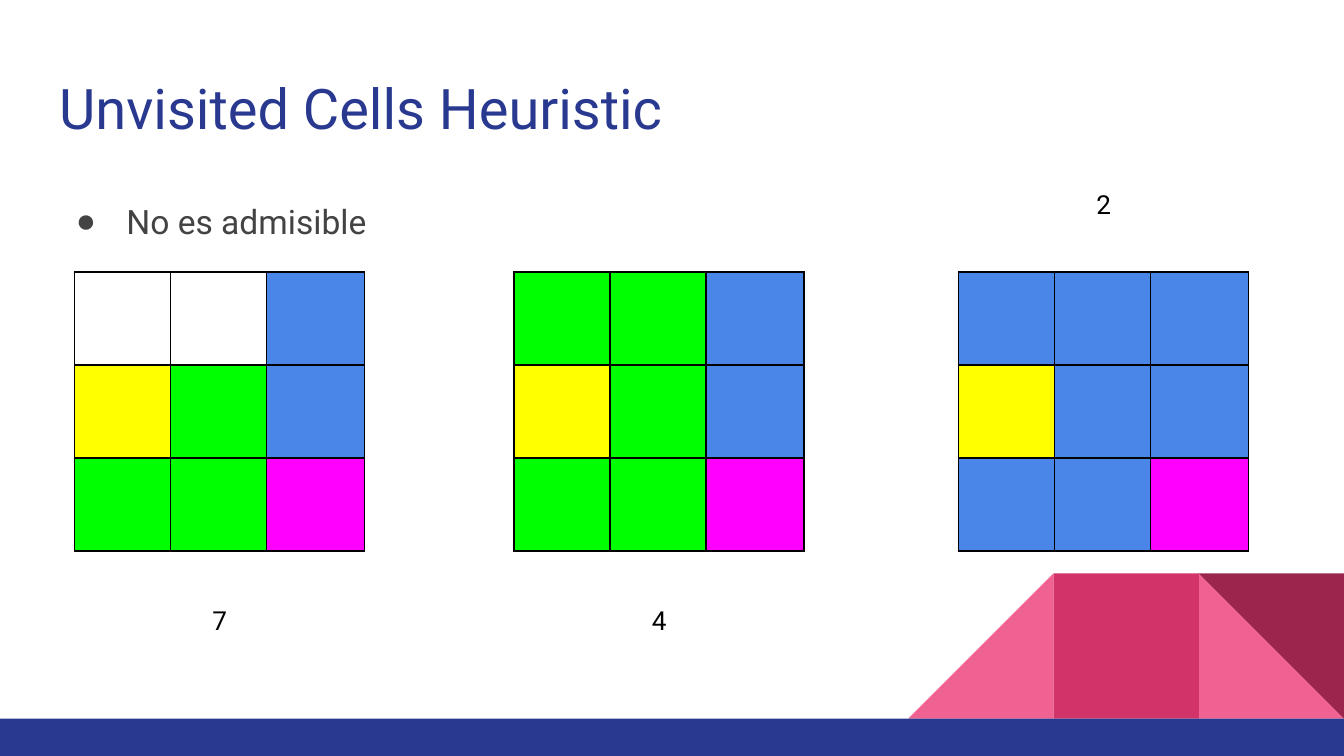
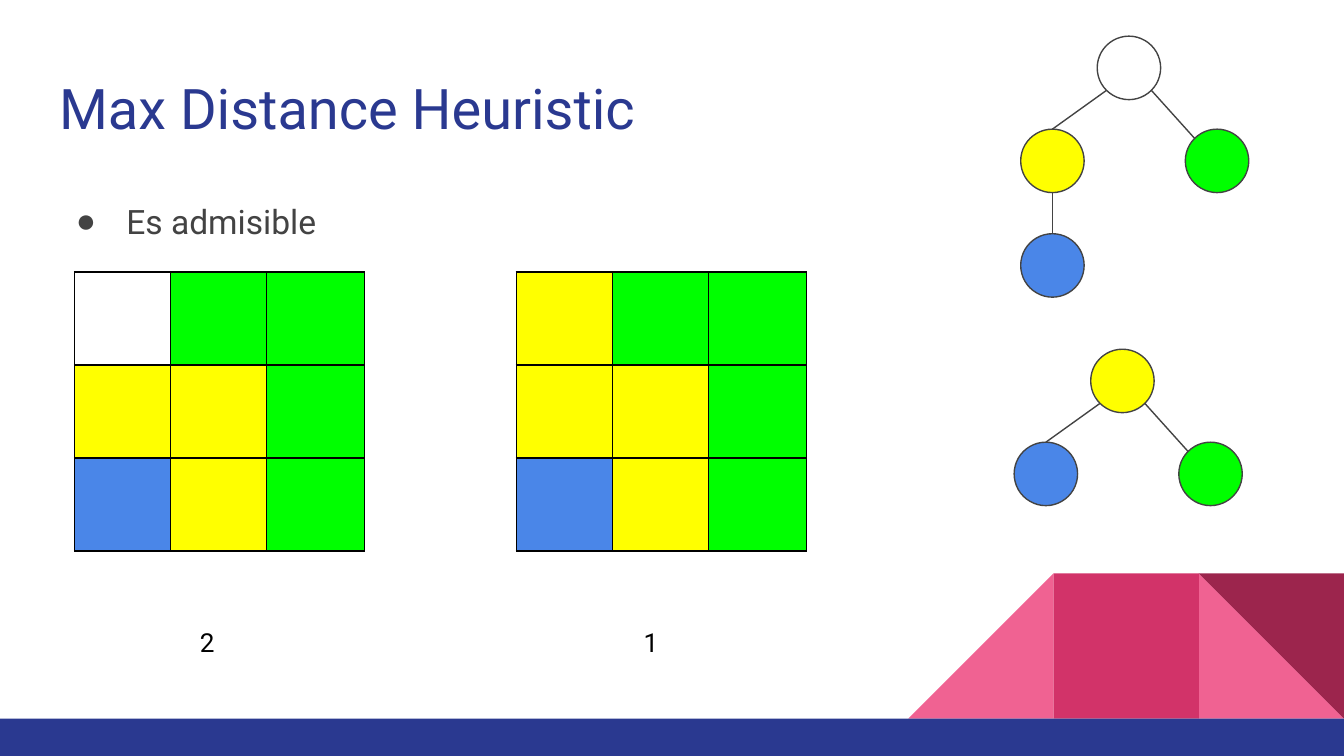
from math import sqrt

from lxml import etree
from pptx import Presentation
from pptx.dml.color import RGBColor
from pptx.enum.shapes import MSO_CONNECTOR, MSO_SHAPE
from pptx.enum.text import MSO_ANCHOR, MSO_AUTO_SIZE, PP_ALIGN
from pptx.oxml.ns import qn
from pptx.util import Pt

LEFT, CENTER = PP_ALIGN.LEFT, PP_ALIGN.CENTER
TOP = MSO_ANCHOR.TOP
STRAIGHT = MSO_CONNECTOR.STRAIGHT
CIRCLE, SQUARE, WEDGE = MSO_SHAPE.OVAL, MSO_SHAPE.RECTANGLE, MSO_SHAPE.RIGHT_TRIANGLE

FONT = "Roboto"
COLORS = {
    "navy": "2A3990", "gray": "434343", "black": "000000",
    "pink": "F06292", "rose": "D23369", "wine": "9C254D",
    "W": "FFFFFF", "B": "4A86E8", "Y": "FFFF00", "G": "00FF00", "M": "FF00FF",
}

# Boards: left edge and rows of colour letters.
# Labels: text, box (left, top, width, height), alignment.
# Trees: root centre, then colours by node position.
PAGES = [
    {
        "title": "Unvisited Cells Heuristic",
        "bullet": "No es admisible",
        "bullet_width": 671,
        "boards": [(40, "WWB YGB GGM"), (275.5, "GGB YGB GGM"), (513.5, "BBB YBB BBM")],
        "labels": [
            ("7", (95, 316.8, 45.4, 38.9), CENTER),
            ("4", (330.5, 316.8, 45.4, 38.9), CENTER),
            ("2", (568.6, 93.6, 45.4, 38.9), CENTER),
        ],
        "trees": [],
    },
    {
        "title": "Max Distance Heuristic",
        "bullet": "Es admisible",
        "bullet_width": 317,
        "boards": [(40, "WGG YYG BYG"), (276.7, "YGG YYG BYG")],
        "labels": [
            ("2", (100, 328.3, 33, 29.5), LEFT),
            ("1", (337.7, 328.3, 33, 29.5), LEFT),
        ],
        "trees": [
            ((604.8, 36.4), {"root": "W", "left": "Y", "right": "G", "leaf": "B"}),
            ((601.3, 204.1), {"root": "Y", "left": "B", "right": "G"}),
        ],
    },
]

WIDTH, HEIGHT = 720, 405
BAND_TOP, WEDGE_SIZE = 385, 77.8
MARGIN = 24.5
BOARD_TOP, ROW_HEIGHT, COLUMN_WIDTHS = 145.8, 49.8, (51.4, 51.4, 52.6)
NODE_SIZE = 34
NODE_OFFSETS = {"root": (0, 0), "left": (-41, 49.8), "right": (47.2, 49.8), "leaf": (-41, 105.8)}
# Child: parent, direction from the parent's centre, direction from the child's centre.
DIAGONAL = 1 / sqrt(2)
BRANCHES = {
    "left": ("root", (-DIAGONAL, DIAGONAL), (0, -1)),
    "right": ("root", (DIAGONAL, DIAGONAL), (-DIAGONAL, -DIAGONAL)),
    "leaf": ("left", (0, 1), (0, -1)),
}


def color(name):
    return RGBColor.from_string(COLORS[name])


def place(shape, left, top, width, height):
    shape.left, shape.top, shape.width, shape.height = map(Pt, (left, top, width, height))


def write(shape, text, size, ink="black", align=LEFT, line_spacing=1.0):
    frame = shape.text_frame
    frame.word_wrap = True
    frame.auto_size = MSO_AUTO_SIZE.NONE
    frame.vertical_anchor = TOP
    frame.margin_left = frame.margin_right = frame.margin_top = frame.margin_bottom = Pt(7.2)
    para = frame.paragraphs[0]
    para.alignment, para.line_spacing = align, line_spacing
    para.space_before = para.space_after = Pt(0)
    span = para.add_run()
    span.text = text
    span.font.name, span.font.size = FONT, Pt(size)
    span.font.color.rgb = color(ink)
    return para


def add_bullet(para, ink):
    properties = para._p.get_or_add_pPr()
    properties.set("marL", str(Pt(36)))
    properties.set("indent", str(Pt(-27)))
    tint = etree.SubElement(properties, qn("a:buClr"))
    etree.SubElement(tint, qn("a:srgbClr"), val=COLORS[ink])
    etree.SubElement(properties, qn("a:buChar"), char="●")


def add_filled(page, kind, box, fill, outline=None):
    shape = page.shapes.add_shape(kind, *map(Pt, box))
    shape.shadow.inherit = False
    shape.fill.solid()
    shape.fill.fore_color.rgb = color(fill)
    if outline:
        shape.line.color.rgb = color(outline)
        shape.line.width = Pt(0.75)
    else:
        shape.line.fill.background()
    return shape


def decorate_layout(layout, page):
    """Draw the band and wedges on a page, then move them behind the layout's placeholders."""
    wedge_top = BAND_TOP - WEDGE_SIZE
    parts = [
        (WEDGE, 1, "pink", 0),
        (WEDGE, 3, "pink", 270),
        (SQUARE, 2, "rose", 0),
        (WEDGE, 1, "wine", 180),
    ]
    shapes = []
    for kind, steps, fill, rotation in parts:
        box = (WIDTH - steps * WEDGE_SIZE, wedge_top, WEDGE_SIZE, WEDGE_SIZE)
        shape = add_filled(page, kind, box, fill)
        shape.rotation = rotation
        shapes.append(shape)
    shapes.append(add_filled(page, SQUARE, (0, BAND_TOP, WIDTH, HEIGHT - BAND_TOP), "navy"))
    for index, shape in enumerate(shapes):
        shape.element.nvSpPr.cNvPr.set("id", str(100 + index))
        layout.shapes.element.insert(2 + index, shape.element)


def fill_cell(cell, fill):
    cell.fill.solid()
    cell.fill.fore_color.rgb = color(fill)
    properties = cell._tc.get_or_add_tcPr()
    for index, side in enumerate(("lnL", "lnR", "lnT", "lnB")):
        border = etree.Element(qn("a:" + side), w=str(Pt(1)))
        paint = etree.SubElement(border, qn("a:solidFill"))
        etree.SubElement(paint, qn("a:srgbClr"), val=COLORS["black"])
        properties.insert(index, border)


def add_board(page, left, pattern):
    rows = pattern.split()
    box = (left, BOARD_TOP, sum(COLUMN_WIDTHS), ROW_HEIGHT * len(rows))
    table = page.shapes.add_table(len(rows), len(COLUMN_WIDTHS), *map(Pt, box)).table
    table.first_row = table.horz_banding = False
    for column, width in zip(table.columns, COLUMN_WIDTHS):
        column.width = Pt(width)
    for r, letters in enumerate(rows):
        table.rows[r].height = Pt(ROW_HEIGHT)
        for c, letter in enumerate(letters):
            fill_cell(table.cell(r, c), letter)


def add_tree(page, root, nodes):
    radius = NODE_SIZE / 2
    centers = {name: (root[0] + NODE_OFFSETS[name][0], root[1] + NODE_OFFSETS[name][1])
               for name in nodes}

    def rim(name, direction):
        return [Pt(middle + radius * part) for middle, part in zip(centers[name], direction)]

    for name, fill in nodes.items():
        x, y = centers[name]
        add_filled(page, CIRCLE, (x - radius, y - radius, NODE_SIZE, NODE_SIZE), fill, "gray")
    for child, (parent, leaving, arriving) in BRANCHES.items():
        if child in nodes:
            branch = page.shapes.add_connector(STRAIGHT, *rim(parent, leaving), *rim(child, arriving))
            branch.line.color.rgb = color("gray")
            branch.line.width = Pt(0.75)
            etree.SubElement(branch.element.spPr, qn("a:effectLst"))


def fill_page(page, content):
    title, body = page.shapes.title, page.placeholders[1]
    place(title, MARGIN, 32.4, 671, 47.5)
    write(title, content["title"], 30, "navy")
    place(body, MARGIN, 97.2, content["bullet_width"], 38)
    add_bullet(write(body, content["bullet"], 18, "gray", line_spacing=1.15), "gray")
    for left, pattern in content["boards"]:
        add_board(page, left, pattern)
    for root, nodes in content["trees"]:
        add_tree(page, root, nodes)
    for text, box, align in content["labels"]:
        write(page.shapes.add_textbox(*map(Pt, box)), text, 14, align=align)


def main():
    deck = Presentation()
    deck.slide_width, deck.slide_height = Pt(WIDTH), Pt(HEIGHT)
    layout = deck.slide_layouts[1]
    pages = [deck.slides.add_slide(layout) for _ in PAGES]
    decorate_layout(layout, pages[0])
    for page, content in zip(pages, PAGES):
        fill_page(page, content)
    deck.save("out.pptx")


if __name__ == "__main__":
    main()
